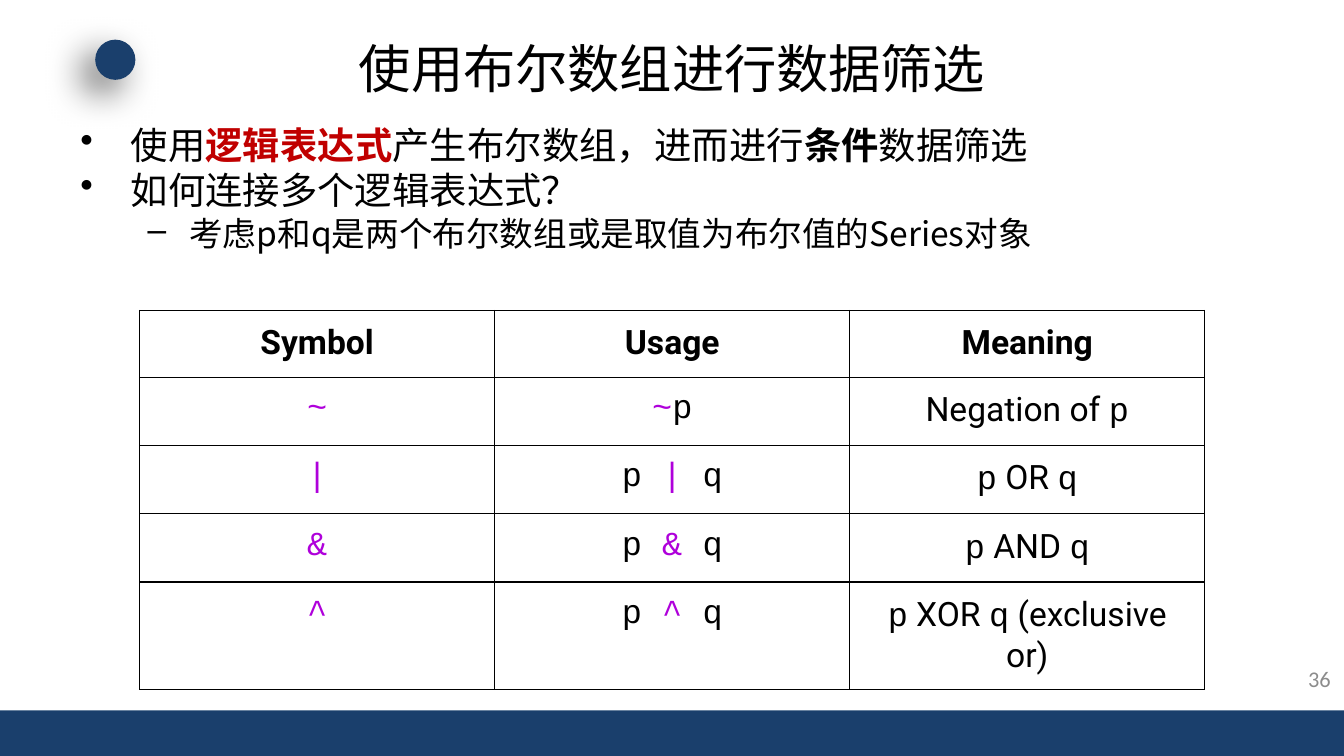
from lxml import etree
from pptx import Presentation
from pptx import util as u
from pptx.dml.color import RGBColor
from pptx.enum import shapes, text
from pptx.oxml import parse_xml
from pptx.oxml.ns import nsdecls, qn

COLORS = {"navy": "1A3F6C", "black": "000000", "red": "C00000", "purple": "AF00DB", "gray": "8C8C8C"}
CJK, SANS, MONO = "Noto Sans CJK SC", "Roboto", "Courier New"

TITLE = "使用布尔数组进行数据筛选"
PAGE_NUMBER = "36"
BULLETS = [
    (0, [("使用", "black", False), ("逻辑表达式", "red", True), ("产生布尔数组，进而进行", "black", False),
         ("条件", "black", True), ("数据筛选", "black", False)]),
    (0, [("如何连接多个逻辑表达式？", "black", False)]),
    (1, [("考虑p和q是两个布尔数组或是取值为布尔值的Series对象", "black", False)]),
]
LEVELS = [
    {"bullet": "•", "left": 0.95, "hanging": 0.95, "size": 20},
    {"bullet": "–", "left": 2.06, "hanging": 0.79, "size": 18},
]
HEADERS = ["Symbol", "Usage", "Meaning"]
OPERATORS = [
    ("~", ["", "p"], [("Negation of ", SANS), ("p", MONO)]),
    ("|", ["p ", " q"], [("p", MONO), (" OR ", SANS), ("q", MONO)]),
    ("&", ["p ", " q"], [("p", MONO), (" AND ", SANS), ("q", MONO)]),
    ("^", ["p ", " q"], [("p", MONO), (" XOR ", SANS), ("q", MONO), (" (exclusive or)", SANS)]),
]
ROW_HEIGHTS = [1.24, 1.29, 1.29, 1.29, 2.03]
COLUMN_WIDTH = 6.71


def box(left, top, width, height):
    return [u.Cm(value) for value in (left, top, width, height)]


def add_run(paragraph, words, font, size, color="black", bold=False):
    run = paragraph.add_run()
    run.text = words
    run.font.size = u.Pt(size)
    run.font.bold = bold
    run.font.color.rgb = RGBColor.from_string(COLORS[color])
    run.font.name = font
    etree.SubElement(run.font._element, qn("a:ea"), typeface=font)


def add_navy_shape(slide, kind, place):
    shape = slide.shapes.add_shape(kind, *place)
    shape.shadow.inherit = False
    shape.fill.solid()
    shape.fill.fore_color.rgb = RGBColor.from_string(COLORS["navy"])
    shape.line.fill.background()
    return shape


def add_decoration(slide):
    add_navy_shape(slide, shapes.MSO_SHAPE.RECTANGLE, box(0, 13.43, 25.4, 0.86))
    dot = add_navy_shape(slide, shapes.MSO_SHAPE.OVAL, box(1.8, 0.75, 0.76, 0.76))
    dot._element.spPr.find(qn("a:effectLst")).append(parse_xml(
        f'<a:outerShdw {nsdecls("a")} blurRad="{u.Pt(20)}" dist="{u.Pt(10)}" dir="8100000" algn="tr" '
        f'rotWithShape="0"><a:srgbClr val="{COLORS["black"]}"><a:alpha val="60000"/></a:srgbClr></a:outerShdw>'))


def add_title(slide):
    title = slide.shapes.title
    title.left, title.top, title.width, title.height = box(1.27, 0.58, 22.86, 1.4)
    title.text_frame.vertical_anchor = text.MSO_ANCHOR.MIDDLE
    paragraph = title.text_frame.paragraphs[0]
    paragraph.alignment = text.PP_ALIGN.CENTER
    add_run(paragraph, TITLE, CJK, 28)


def add_page_number(slide):
    frame = slide.shapes.add_textbox(*box(24.26, 12.45, 1.14, 0.76)).text_frame
    frame.word_wrap = True
    frame.vertical_anchor = text.MSO_ANCHOR.MIDDLE
    frame.paragraphs[0].alignment = text.PP_ALIGN.RIGHT
    add_run(frame.paragraphs[0], PAGE_NUMBER, "Calibri", 12, "gray")


def add_bullets(slide):
    frame = slide.shapes.add_textbox(*box(1.27, 2.29, 22.86, 3.38)).text_frame
    frame.word_wrap = True
    for index, (depth, runs) in enumerate(BULLETS):
        level = LEVELS[depth]
        paragraph = frame.add_paragraph() if index else frame.paragraphs[0]
        paragraph.level = depth
        properties = paragraph._p.get_or_add_pPr()
        properties.set("marL", str(u.Cm(level["left"])))
        properties.set("indent", str(-u.Cm(level["hanging"])))
        etree.SubElement(properties, qn("a:buChar"), char=level["bullet"])
        paragraph.line_spacing = 0.88
        paragraph.space_before = u.Pt(3 if index else 0)
        for words, color, bold in runs:
            add_run(paragraph, words, CJK, level["size"], color, bold)


def style_cell(cell):
    cell.margin_left = cell.margin_right = cell.margin_top = cell.margin_bottom = u.Cm(0.25)
    cell.text_frame.paragraphs[0].alignment = text.PP_ALIGN.CENTER
    properties = cell._tc.get_or_add_tcPr()
    for side in ("lnL", "lnR", "lnT", "lnB"):
        line = etree.SubElement(properties, qn(f"a:{side}"), w=str(u.Pt(0.75)))
        fill = etree.SubElement(line, qn("a:solidFill"))
        etree.SubElement(fill, qn("a:srgbClr"), val=COLORS["black"])
    cell.fill.background()


def add_operator_table(slide):
    rows = [[[(header, SANS, 18, "black", True)] for header in HEADERS]]
    for symbol, (before, after), meaning in OPERATORS:
        mark = (symbol, MONO, 18, "purple")
        usage = [(before, MONO, 18), mark, (after, MONO, 18)]
        rows.append([[mark], [run for run in usage if run[0]], [(words, font, 18) for words, font in meaning]])
    place = box(2.64, 5.87, COLUMN_WIDTH * len(HEADERS), sum(ROW_HEIGHTS))
    table = slide.shapes.add_table(len(rows), len(HEADERS), *place).table
    table.first_row = table.horz_banding = False
    for column in table.columns:
        column.width = u.Cm(COLUMN_WIDTH)
    for row, height, contents in zip(table.rows, ROW_HEIGHTS, rows):
        row.height = u.Cm(height)
        for cell, runs in zip(row.cells, contents):
            style_cell(cell)
            for run in runs:
                add_run(cell.text_frame.paragraphs[0], *run)


def main():
    """Build the slide on filtering data with boolean arrays."""
    presentation = Presentation()
    presentation.slide_width, presentation.slide_height = u.Cm(25.4), u.Cm(14.29)
    slide = presentation.slides.add_slide(presentation.slide_layouts[5])
    add_decoration(slide)
    add_title(slide)
    add_page_number(slide)
    add_bullets(slide)
    add_operator_table(slide)
    presentation.save("out.pptx")


if __name__ == "__main__":
    main()
